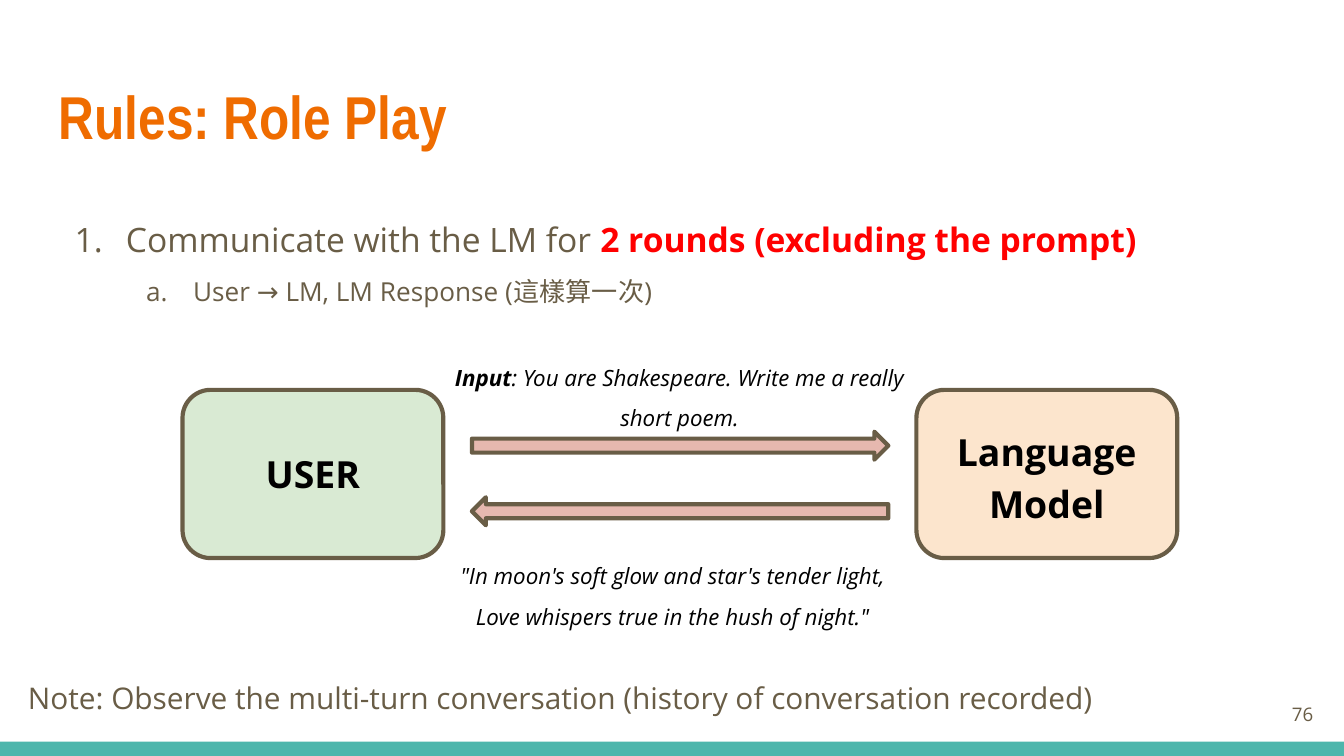
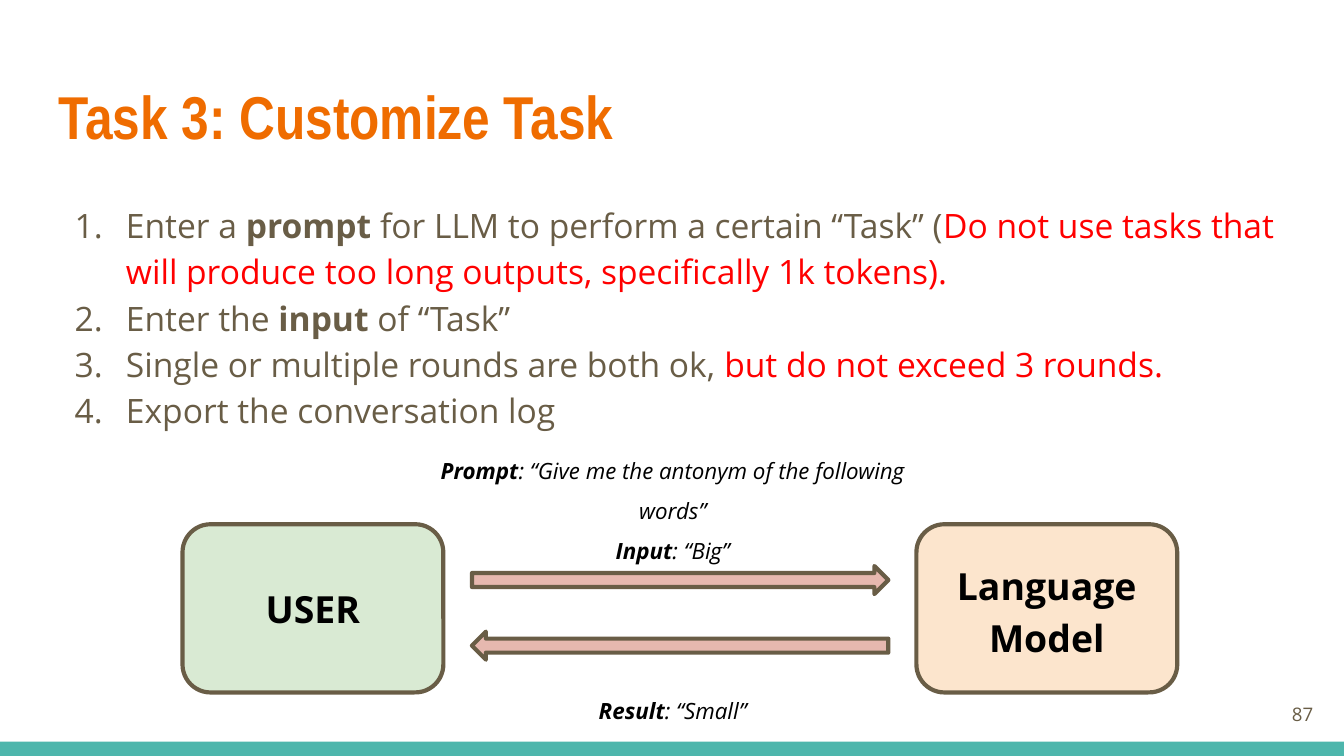
from lxml.etree import SubElement
from pptx import Presentation
from pptx.dml.color import RGBColor
from pptx.enum.shapes import MSO_SHAPE as Preset
from pptx.enum.text import MSO_ANCHOR as Anchor, MSO_AUTO_SIZE as AutoSize, PP_ALIGN as Align
from pptx.oxml.ns import qn
from pptx.util import Cm, Pt

# Shared colours and text formats
ORANGE, TEAL, BROWN, RED, BLACK = "EF6C00", "4DB6AC", "695D46", "FF0000", "000000"
GREEN, PEACH, PINK = "D9EAD3", "FCE5CD", "E6B8AF"

TITLE = {"name": "Arial Narrow", "size": Pt(32.4), "bold": True, "color": ORANGE}
BODY = {"name": "Open Sans", "size": Pt(18), "color": BROWN}
SUBITEM = {**BODY, "size": Pt(14)}
NOTE = {**BODY, "size": Pt(16)}
PAGE = {**BODY, "size": Pt(10)}
BOX = {"name": "Open Sans", "size": Pt(20), "bold": True, "color": BLACK}
CAPTION = {"name": "Open Sans", "size": Pt(12), "italic": True, "color": BLACK}
BOLD = {"bold": True}
WARNING = {"color": RED}

# Numbering type, left margin and hanging indent (cm) of each list level
LEVELS = [("arabicPeriod", 1.27, -0.97), ("alphaLcPeriod", 2.54, -0.89)]

# Shared geometry (cm)
TEXT_LEFT, TEXT_WIDTH = 0.86, 23.67
BOX_WIDTH, BOX_HEIGHT = 4.93, 3.18
USER_LEFT, MODEL_LEFT = 3.45, 17.32
ARROW_LEFT, ARROW_WIDTH, ARROW_HEIGHT = 8.92, 7.87, 0.53
CAPTION_LEFT, CAPTION_WIDTH = 7.98, 9.47


def rgb(value):
    return RGBColor.from_string(value)


def place(shape, left, top, width, height):
    shape.left, shape.top = Cm(left), Cm(top)
    shape.width, shape.height = Cm(width), Cm(height)


def set_font(font, style):
    for name, value in style.items():
        if name == "color":
            font.color.rgb = rgb(value)
        else:
            setattr(font, name, value)


def number_paragraph(paragraph, level):
    scheme, margin, indent = LEVELS[level]
    paragraph.level = level
    properties = paragraph._p.get_or_add_pPr()
    properties.set("marL", str(Cm(margin)))
    properties.set("indent", str(Cm(indent)))
    color = SubElement(properties, qn("a:buClr"))
    SubElement(color, qn("a:srgbClr"), val=BROWN)
    SubElement(properties, qn("a:buFont"), typeface="Open Sans")
    SubElement(properties, qn("a:buAutoNum"), type=scheme)


def write(shape, paragraphs, style, align=Align.LEFT, spacing=1.0,
          anchor=Anchor.TOP, auto_size=AutoSize.NONE):
    """Fill a shape; each paragraph is a list of (text, style changes) runs."""
    frame = shape.text_frame
    frame.word_wrap = True
    frame.auto_size = auto_size
    frame.vertical_anchor = anchor
    for side in ("left", "top", "right", "bottom"):
        setattr(frame, f"margin_{side}", Cm(0.25))
    for index, runs in enumerate(paragraphs):
        paragraph = frame.add_paragraph() if index else frame.paragraphs[0]
        paragraph.alignment = align
        paragraph.line_spacing = spacing
        paragraph.space_before = paragraph.space_after = Pt(0)
        for text, changes in runs:
            run = paragraph.add_run()
            run.text = text
            set_font(run.font, {**style, **changes})
    return frame


def add_text(slide, place_at, paragraphs, style, **layout):
    box = slide.shapes.add_textbox(*map(Cm, place_at))
    write(box, paragraphs, style, **layout)


def add_preset(slide, preset, place_at, fill, line=None):
    shape = slide.shapes.add_shape(preset, *map(Cm, place_at))
    shape.shadow.inherit = False
    shape.fill.solid()
    shape.fill.fore_color.rgb = rgb(fill)
    if line:
        shape.line.color.rgb = rgb(line)
        shape.line.width = Pt(2.25)
    else:
        shape.line.fill.background()
    return shape


def add_box(slide, left, top, lines, fill, spacing=1.0):
    box = add_preset(slide, Preset.ROUNDED_RECTANGLE,
                     (left, top, BOX_WIDTH, BOX_HEIGHT), fill, BROWN)
    write(box, [[(line, {})] for line in lines], BOX, align=Align.CENTER,
          spacing=spacing, anchor=Anchor.MIDDLE)


def add_arrow(slide, top, backward=False):
    arrow = add_preset(slide, Preset.RIGHT_ARROW,
                       (ARROW_LEFT, top, ARROW_WIDTH, ARROW_HEIGHT), PINK, BROWN)
    if backward:
        arrow.element.spPr.xfrm.set("flipH", "1")


def add_exchange(slide, top):
    """User and model boxes with an arrow each way between them."""
    add_box(slide, USER_LEFT, top, ["USER"], GREEN)
    add_box(slide, MODEL_LEFT, top, ["Language", "Model"], PEACH, spacing=1.15)
    add_arrow(slide, top + 0.79)
    add_arrow(slide, top + 2.03, backward=True)


def add_caption(slide, top, height, paragraphs, left=CAPTION_LEFT, width=CAPTION_WIDTH):
    add_text(slide, (left, top, width, height), paragraphs, CAPTION,
             align=Align.CENTER, spacing=1.5, auto_size=AutoSize.SHAPE_TO_FIT_TEXT)


def add_page_number(slide, number):
    add_text(slide, (23.55, 12.95, 1.52, 1.09), [[(number, {})]], PAGE,
             align=Align.RIGHT, anchor=Anchor.MIDDLE)


def add_list_slide(presentation, title, items, levels, body_height, spacing):
    slide = presentation.slides.add_slide(presentation.slide_layouts[1])
    place(slide.shapes.title, TEXT_LEFT, 1.24, TEXT_WIDTH, 1.96)
    write(slide.shapes.title, [[(title, {})]], TITLE)
    body = slide.placeholders[1]
    place(body, TEXT_LEFT, 3.51, TEXT_WIDTH, body_height)
    frame = write(body, items, BODY, spacing=spacing)
    for paragraph, level in zip(frame.paragraphs, levels):
        number_paragraph(paragraph, level)
    return slide


def add_role_play_slide(presentation):
    items = [
        [("Communicate with the LM for ", {}),
         ("2 rounds (excluding the prompt)", {**BOLD, **WARNING})],
        [("User → LM, LM Response (這樣算一次)", SUBITEM)],
    ]
    slide = add_list_slide(presentation, "Rules: Role Play", items, [0, 1], 2.92, 1.5)
    add_exchange(slide, 7.37)
    add_caption(slide, 6.38, 1.8, [
        [("Input", BOLD),
         (": You are Shakespeare. Write me a really short poem.", {})],
    ], left=8.26, width=9.17)
    add_caption(slide, 10.13, 2.57, [
        [("\"In moon's soft glow and star's tender light, "
          "Love whispers true in the hush of night.\"", {})],
    ])
    note = "Note: Observe the multi-turn conversation (history of conversation recorded)"
    add_text(slide, (0.28, 12.6, TEXT_WIDTH, 1.19), [[(note, {})]], NOTE,
             auto_size=AutoSize.SHAPE_TO_FIT_TEXT)
    add_page_number(slide, "76")
    return slide


def add_custom_task_slide(presentation):
    items = [
        [("Enter a ", {}), ("prompt", BOLD),
         (" for LLM to perform a certain “Task” (", {}),
         ("Do not use tasks that will produce too long outputs, "
          "specifically 1k tokens).", WARNING)],
        [("Enter the ", {}), ("input", BOLD), (" of “Task”", {})],
        [("Single or multiple rounds are both ok, ", {}),
         ("but do not exceed 3 rounds.", WARNING)],
        [("Export the conversation log", {})],
    ]
    slide = add_list_slide(presentation, "Task 3: Customize Task", items,
                           [0] * len(items), 9.17, 1.15)
    add_exchange(slide, 9.91)
    add_caption(slide, 8.13, 2.57, [
        [("Prompt", BOLD), (": “Give me the antonym of the following words”", {})],
        [("Input", BOLD), (": “Big”", {})],
    ])
    add_caption(slide, 12.67, 1.8, [[("Result", BOLD), (": “Small”", {})]])
    add_page_number(slide, "87")


def move_band_to_layout(slide):
    """Draw the bottom band and hand it to the layout that the slides share."""
    band = add_preset(slide, Preset.RECTANGLE, (0, 14.02, 25.4, 0.27), TEAL)
    slide.slide_layout.shapes.element.append(band.element)


def main():
    presentation = Presentation()
    presentation.slide_width, presentation.slide_height = Cm(25.4), Cm(14.29)
    role_play = add_role_play_slide(presentation)
    move_band_to_layout(role_play)
    add_custom_task_slide(presentation)
    presentation.save("out.pptx")


if __name__ == "__main__":
    main()
